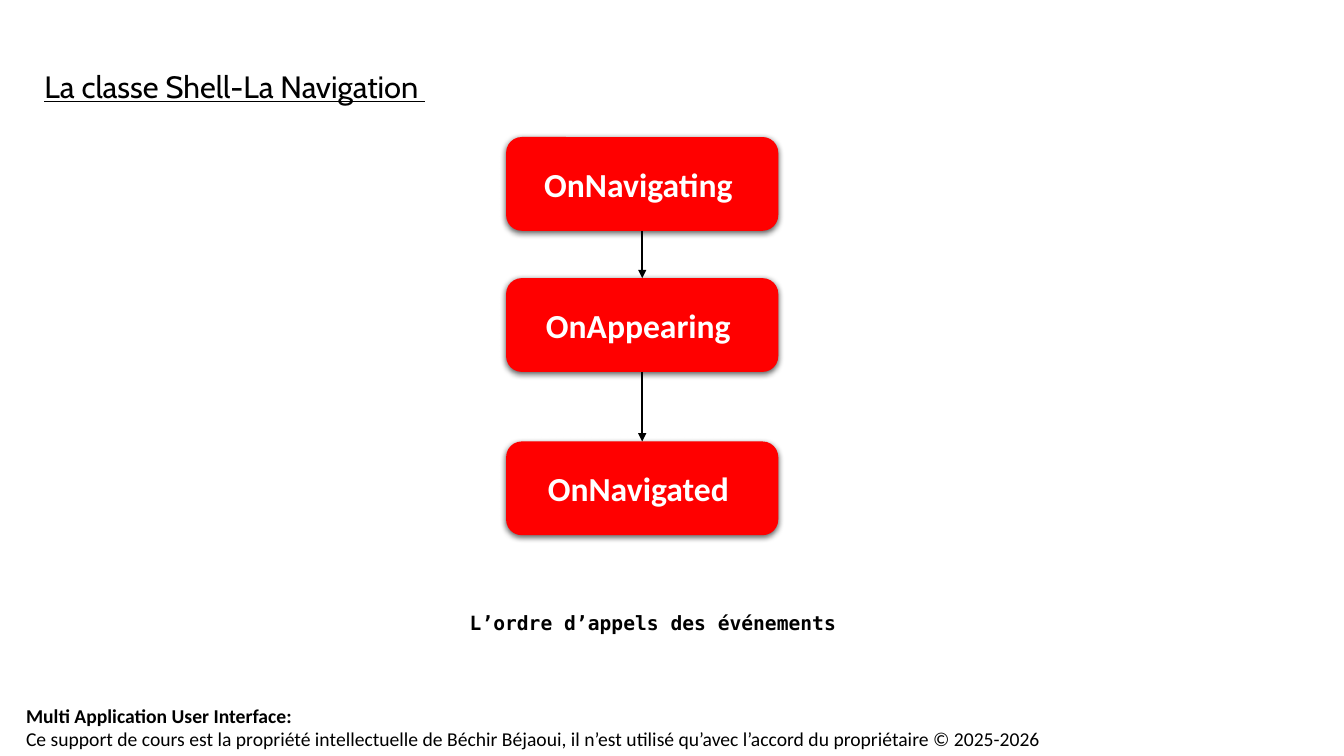
from dataclasses import dataclass

from lxml import etree
from pptx import Presentation, util as u
from pptx.dml import color
from pptx.enum import shapes, text
from pptx.oxml import ns

prs = Presentation()
prs.slide_width, prs.slide_height = u.Inches(13.33), u.Inches(7.5)
COL, ROW = prs.slide_width / 100, prs.slide_height / 100
BLACK, WHITE, RED = "000000", "FFFFFF", "FF0000"


@dataclass(frozen=True)
class Area:
    left: float
    top: float
    width: float
    height: float

    def emu(self) -> tuple[int, int, int, int]:
        return (round(self.left * COL), round(self.top * ROW),
                round(self.width * COL), round(self.height * ROW))


@dataclass(frozen=True)
class Event:
    name: str
    top: float


TITLE = Area(2.03, 8.93, 93.92, 4.93)
CAPTION = Area(34.21, 80.13, 29.26, 4.53)
FOOTER = Area(1.2, 92.4, 98.8, 7.6)
EVENT_LEFT, EVENT_WIDTH, EVENT_HEIGHT = 37.66, 20.25, 12.4
EVENTS = [
    Event("OnNavigating ", 18.13),
    Event("OnAppearing ", 36.8),
    Event("OnNavigated ", 58.4),
]


def rgb(value: str) -> color.RGBColor:
    return color.RGBColor.from_string(value)


def add_text(p, content: str, *, size: float, font: str = "Calibri", fill: str = BLACK,
             bold: bool = False, underline: bool = False,
             align: text.PP_ALIGN = text.PP_ALIGN.LEFT) -> None:
    p.alignment = align
    r = p.add_run()
    r.text = content
    r.font.name, r.font.size = font, u.Pt(size)
    r.font.bold, r.font.underline = bold, underline
    r.font.color.rgb = rgb(fill)


def add_effects(sp):
    return etree.SubElement(sp._element.spPr, ns.qn("a:effectLst"))


def add_shadow(sp) -> None:
    shadow = etree.SubElement(add_effects(sp), ns.qn("a:outerShdw"),
                              blurRad=str(u.Pt(4.5)), dist=str(u.Pt(1.5)),
                              dir="5400000", algn="ctr", rotWithShape="0")
    tint = etree.SubElement(shadow, ns.qn("a:srgbClr"), val=BLACK)
    etree.SubElement(tint, ns.qn("a:alpha"), val="63000")


def add_event(s, event: Event):
    area = Area(EVENT_LEFT, event.top, EVENT_WIDTH, EVENT_HEIGHT)
    sp = s.shapes.add_shape(shapes.MSO_SHAPE.ROUNDED_RECTANGLE, *area.emu())
    sp.fill.solid()
    sp.fill.fore_color.rgb = rgb(RED)
    sp.line.fill.background()
    add_shadow(sp)
    tf = sp.text_frame
    tf.vertical_anchor = text.MSO_ANCHOR.MIDDLE
    add_text(tf.paragraphs[0], event.name, size=24, fill=WHITE, bold=True,
             align=text.PP_ALIGN.CENTER)
    return sp


def add_arrow(s, start, end) -> None:
    arrow = s.shapes.add_connector(shapes.MSO_CONNECTOR.STRAIGHT, 0, 0, 0, 0)
    arrow.begin_connect(start, 2)
    arrow.end_connect(end, 0)
    arrow.line.color.rgb = rgb(BLACK)
    arrow.line.width = u.Pt(1.5)
    etree.SubElement(arrow.line._get_or_add_ln(), ns.qn("a:tailEnd"), type="triangle")
    add_effects(arrow)


def add_box(s, area: Area, wrap: bool):
    tf = s.shapes.add_textbox(*area.emu()).text_frame
    tf.word_wrap = wrap
    tf.auto_size = text.MSO_AUTO_SIZE.SHAPE_TO_FIT_TEXT
    return tf


def set_title(s, content: str) -> None:
    sp = s.shapes.title
    sp.left, sp.top, sp.width, sp.height = TITLE.emu()
    tf = sp.text_frame
    tf.margin_left = tf.margin_right = tf.margin_top = tf.margin_bottom = 0
    tf.vertical_anchor = text.MSO_ANCHOR.TOP
    tf.auto_size = text.MSO_AUTO_SIZE.NONE
    p = tf.paragraphs[0]
    p._p.get_or_add_pPr().set("marL", str(round(1.28 * COL)))
    add_text(p, content, size=22, font="Cabin", underline=True)


def main() -> None:
    s = prs.slides.add_slide(prs.slide_layouts[5])

    tf = add_box(s, FOOTER, wrap=True)
    add_text(tf.paragraphs[0], "Multi Application User Interface:", size=14, bold=True)
    add_text(tf.add_paragraph(),
             "Ce support de cours est la propriété intellectuelle de Béchir Béjaoui, "
             "il n’est utilisé qu’avec l’accord du propriétaire © 2025-2026", size=14)

    set_title(s, "La classe Shell-La Navigation ")

    tf = add_box(s, CAPTION, wrap=False)
    add_text(tf.paragraphs[0], "L’ordre d’appels des événements", size=14,
             font="DejaVu Sans Mono", bold=True)

    boxes = [add_event(s, event) for event in EVENTS]
    for start, end in zip(boxes, boxes[1:]):
        add_arrow(s, start, end)

    prs.save("out.pptx")


if __name__ == "__main__":
    main()
